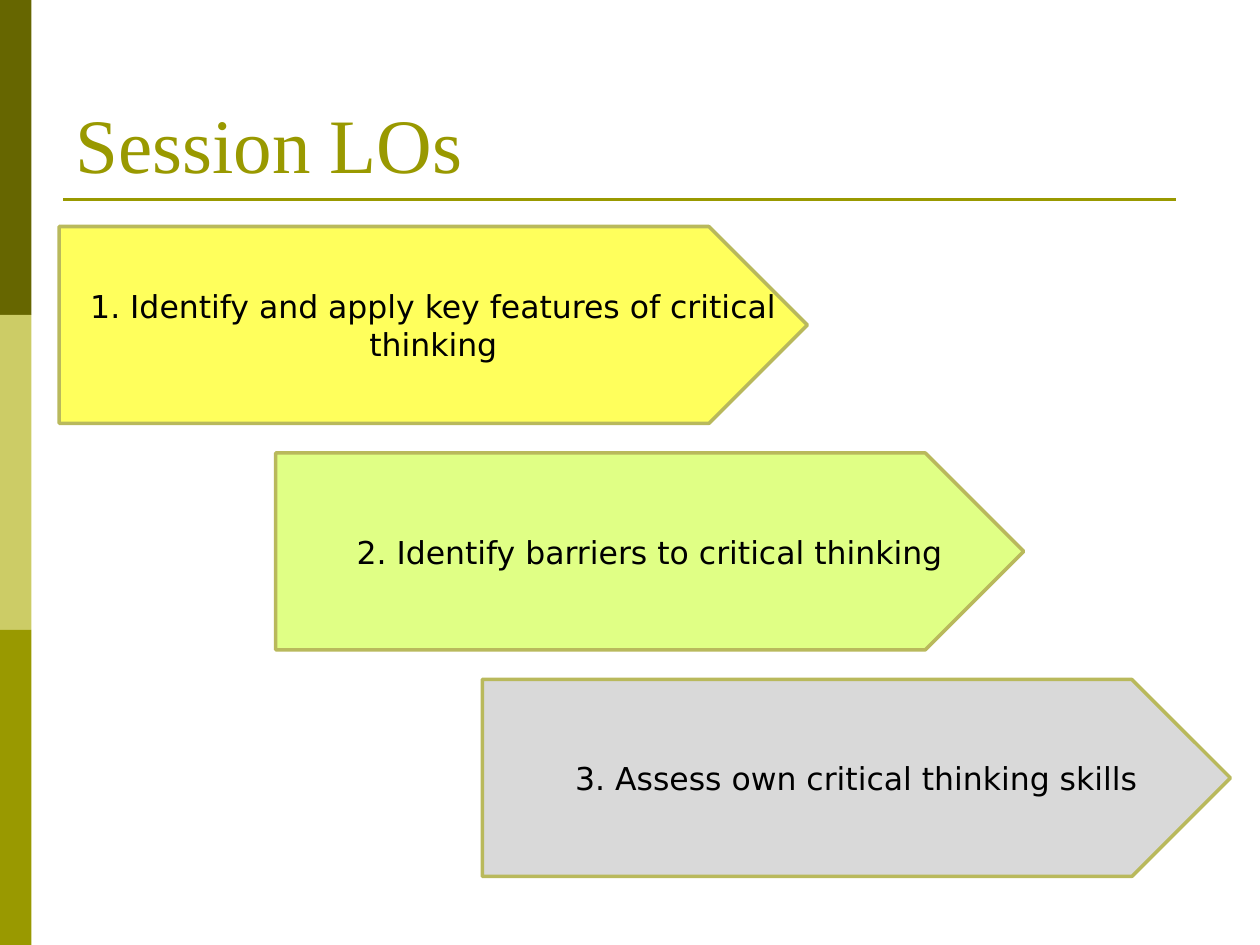
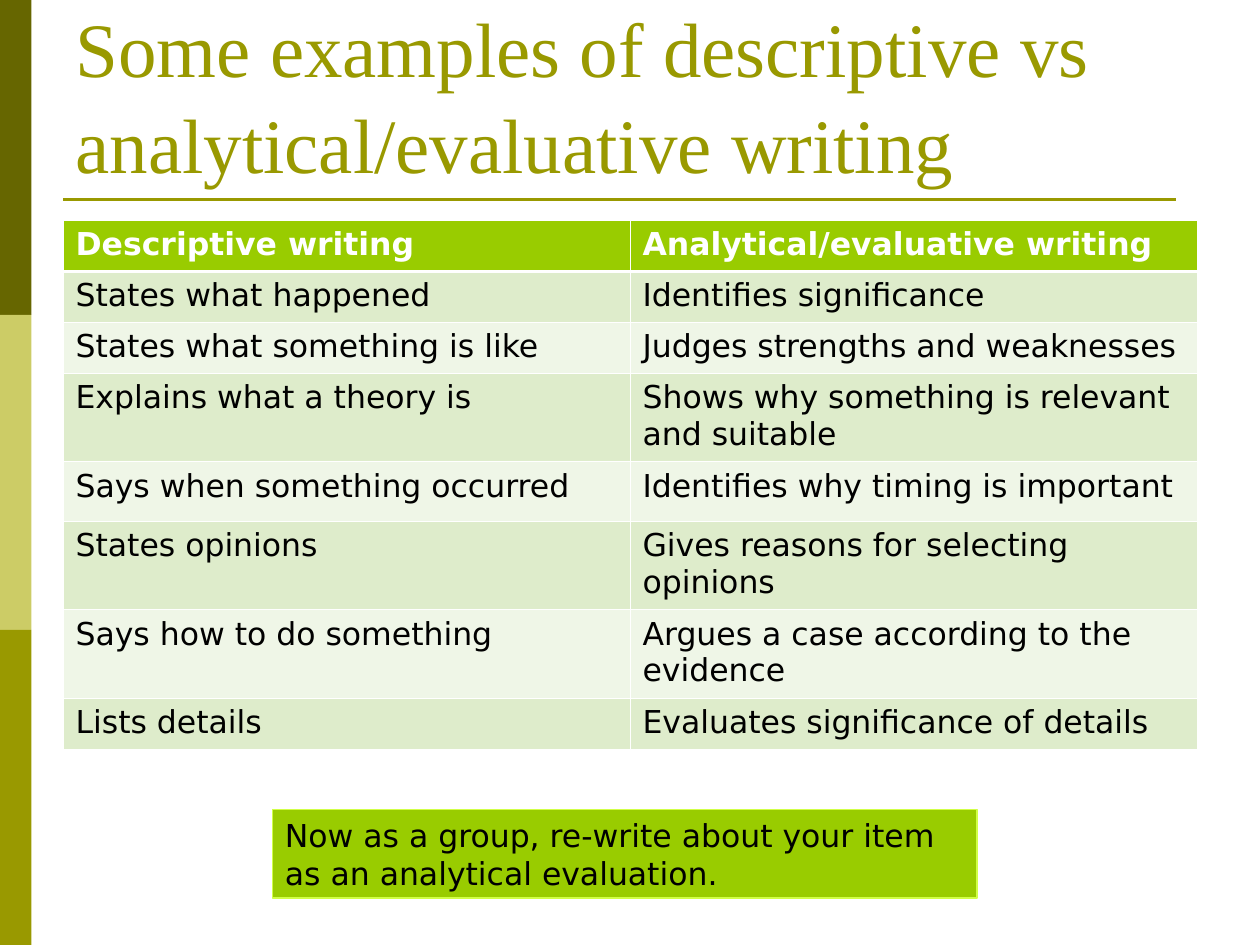
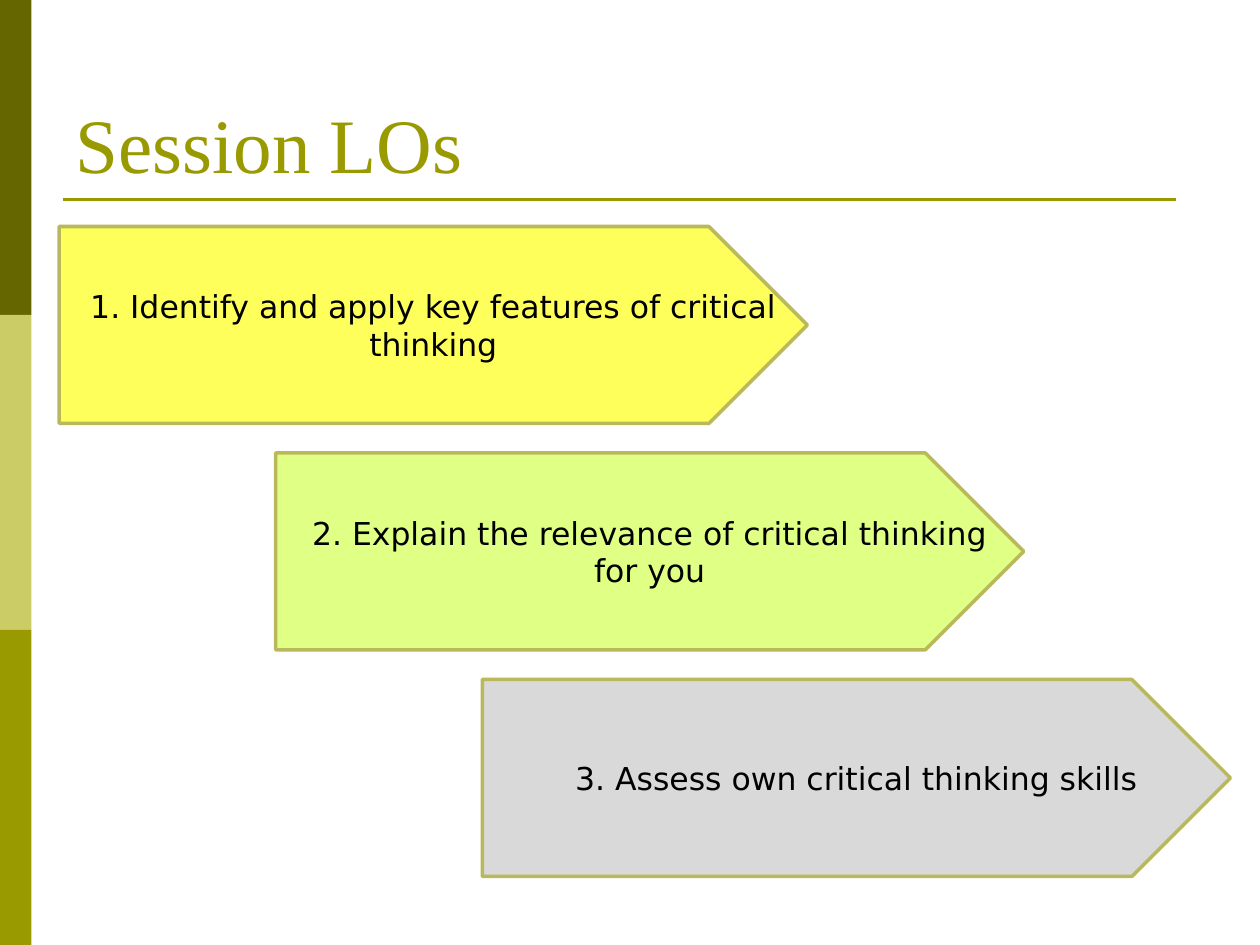
"""Three teaching slides on critical thinking: outcomes, comparison table, outcomes."""
from dataclasses import dataclass

from lxml import etree
from pptx import Presentation, util as u
from pptx.dml.color import RGBColor
from pptx.enum import shapes, text
from pptx.oxml import ns

COLUMNS, ROWS = 40, 30  # grid over the slide
WIDTH, HEIGHT = u.Inches(10), u.Inches(7.5)
BODY_FONT, TITLE_FONT = "DejaVu Sans", "Times New Roman"
BLACK, WHITE = "000000", "FFFFFF"
OLIVE, DARK_OLIVE, PALE_OLIVE = "999900", "666600", "CCCC66"
GREEN, GREEN_EDGE, ARROW_EDGE = "99CC00", "D1FF47", "B9B95C"
BANDS = (DARK_OLIVE, PALE_OLIVE, OLIVE)
STRIPES = ("DEECCB", "EFF6E7")
THIN, THICK = 0.45, 1.47  # table borders, points


@dataclass(frozen=True)
class Area:
    """A rectangle in grid columns and rows."""
    column: float
    row: float
    columns: float
    rows: float

    def lengths(self) -> tuple[int, int, int, int]:
        """Return left, top, width and height on the slide."""
        return across(self.column), down(self.row), across(self.columns), down(self.rows)


@dataclass(frozen=True)
class ArrowStep:
    """One arrow of the staircase."""
    column: float
    fill: str


STEPS = (ArrowStep(1.88, "FFFF5C"), ArrowStep(8.75, "E0FF85"), ArrowStep(15.31, "D9D9D9"))
FIRST_ARROW_ROW, ARROW_PITCH = 7.19, 7.19
ARROW_COLUMNS, ARROW_ROWS = 23.75, 6.25
TITLE_AREA = Area(2, 1.2, 36, 5)
TALL_TITLE_AREA = Area(2, 0.52, 36, 5.68)

COMPARISON = (
    ("Descriptive writing", "Analytical/evaluative writing"),
    ("States what happened", "Identifies significance"),
    ("States what something is like", "Judges strengths and weaknesses"),
    ("Explains what a theory is", "Shows why something is relevant and suitable"),
    ("Says when something occurred", "Identifies why timing is important"),
    ("States opinions", "Gives reasons for selecting opinions"),
    ("Says how to do something", "Argues a case according to the evidence"),
    ("Lists details", "Evaluates significance of details"),
)
COMPARISON_ROWS = (1.62, 1.62, 1.62, 2.8, 1.9, 2.8, 2.8, 1.62)


def across(columns: float) -> int:
    """Convert grid columns to a length."""
    return round(WIDTH * columns / COLUMNS)


def down(rows: float) -> int:
    """Convert grid rows to a length."""
    return round(HEIGHT * rows / ROWS)


def color(value: str) -> RGBColor:
    """Convert a hex string to a colour."""
    return RGBColor.from_string(value)


def paint(shape, fill: str, edge: str | None = None, points: float = 0) -> None:
    """Give a shape a flat fill and an optional outline."""
    shape.shadow.inherit = False
    shape.fill.solid()
    shape.fill.fore_color.rgb = color(fill)
    if edge:
        shape.line.color.rgb = color(edge)
        shape.line.width = u.Pt(points)
    else:
        shape.line.fill.background()


def write(frame, words: str, size: float = 18, name: str = BODY_FONT, ink: str = BLACK,
          align=text.PP_ALIGN.LEFT, bold: bool = False) -> None:
    """Write one formatted paragraph into a text frame."""
    frame.word_wrap = True
    frame.text = words
    paragraph = frame.paragraphs[0]
    paragraph.alignment = align
    font = paragraph.font
    font.size, font.name, font.bold = u.Pt(size), name, bold
    font.color.rgb = color(ink)


def add_decoration(slide) -> None:
    """Draw the side bands and title rule, then hand them to the slide's layout."""
    band_rows = ROWS / len(BANDS)
    parts = []
    for index, fill in enumerate(BANDS):
        band = slide.shapes.add_shape(
            shapes.MSO_SHAPE.RECTANGLE, *Area(0, index * band_rows, 1, band_rows).lengths())
        paint(band, fill)
        parts.append(band)
    rule = slide.shapes.add_connector(
        shapes.MSO_CONNECTOR.STRAIGHT, across(2), down(6.33), across(37.33), down(6.33))
    rule.line.color.rgb = color(OLIVE)
    rule.line.width = u.Pt(1.5)
    etree.SubElement(rule.element.spPr, ns.qn("a:effectLst"))
    for part in (*parts, rule):
        slide.slide_layout.shapes.element.append(part.element)


def add_titled_slide(presentation, title: str, area: Area = TITLE_AREA):
    """Add a title-only slide with its title placed and formatted."""
    slide = presentation.slides.add_slide(presentation.slide_layouts[5])
    shape = slide.shapes.title
    shape.left, shape.top, shape.width, shape.height = area.lengths()
    frame = shape.text_frame
    write(frame, title, 44, TITLE_FONT, OLIVE)
    frame.auto_size = text.MSO_AUTO_SIZE.NONE
    frame.vertical_anchor = text.MSO_ANCHOR.BOTTOM
    frame.paragraphs[0].line_spacing = 1.04
    return slide


def add_arrow(slide, area: Area, fill: str, words: str) -> None:
    """Draw a block arrow whose tip is half as long as it is high."""
    left, top, width, height = area.lengths()
    right, bottom, middle = left + width, top + height, top + height // 2
    shoulder = right - height // 2
    builder = slide.shapes.build_freeform(left, top)
    builder.add_line_segments(
        [(shoulder, top), (right, middle), (shoulder, bottom), (left, bottom)], close=True)
    arrow = builder.convert_to_shape()
    paint(arrow, fill, ARROW_EDGE, 2)
    write(arrow.text_frame, words, align=text.PP_ALIGN.CENTER)
    arrow.text_frame.vertical_anchor = text.MSO_ANCHOR.MIDDLE


def add_outcomes_slide(presentation, outcomes: tuple[str, ...]):
    """Add a staircase of numbered session outcomes."""
    slide = add_titled_slide(presentation, "Session LOs")
    for index, (step, outcome) in enumerate(zip(STEPS, outcomes)):
        row = FIRST_ARROW_ROW + index * ARROW_PITCH
        area = Area(step.column, row, ARROW_COLUMNS, ARROW_ROWS)
        add_arrow(slide, area, step.fill, f"{index + 1}. {outcome}")
    return slide


def set_borders(cell, top: float, bottom: float) -> None:
    """Draw white cell borders, with top and bottom widths in points."""
    properties = cell._tc.get_or_add_tcPr()
    for side, points in (("L", THIN), ("R", THIN), ("T", top), ("B", bottom)):
        line = etree.SubElement(properties, ns.qn(f"a:ln{side}"), w=str(u.Pt(points)))
        fill = etree.SubElement(line, ns.qn("a:solidFill"))
        etree.SubElement(fill, ns.qn("a:srgbClr"), val=WHITE)


def add_comparison(slide) -> None:
    """Add the striped two-column comparison table."""
    area = Area(2, 7, 36, sum(COMPARISON_ROWS))
    table = slide.shapes.add_table(len(COMPARISON), 2, *area.lengths()).table
    table.horz_banding = False
    for index, (entries, rows) in enumerate(zip(COMPARISON, COMPARISON_ROWS)):
        table.rows[index].height = down(rows)
        header = index == 0
        for column, words in enumerate(entries):
            cell = table.cell(index, column)
            set_borders(cell, THICK if index == 1 else THIN, THICK if header else THIN)
            cell.fill.solid()
            cell.fill.fore_color.rgb = color(GREEN if header else STRIPES[(index - 1) % 2])
            write(cell.text_frame, words, ink=WHITE if header else BLACK, bold=header)


def add_task(slide, words: str) -> None:
    """Add the green task box below the table."""
    box = slide.shapes.add_shape(
        shapes.MSO_SHAPE.RECTANGLE, *Area(8.65, 25.71, 22.37, 2.8).lengths())
    paint(box, GREEN, GREEN_EDGE, 0.75)
    write(box.text_frame, words)
    box.text_frame.vertical_anchor = text.MSO_ANCHOR.TOP
    box.text_frame.auto_size = text.MSO_AUTO_SIZE.SHAPE_TO_FIT_TEXT


def main() -> None:
    """Build and save the presentation."""
    presentation = Presentation()
    presentation.slide_width, presentation.slide_height = WIDTH, HEIGHT
    features = "Identify and apply key features of critical thinking"
    skills = "Assess own critical thinking skills"

    opening = add_outcomes_slide(
        presentation, (features, "Identify barriers to critical thinking", skills))
    add_decoration(opening)

    examples = add_titled_slide(
        presentation, "Some examples of descriptive vs analytical/evaluative writing",
        TALL_TITLE_AREA)
    add_comparison(examples)
    add_task(examples, "Now as a group, re-write about your item as an analytical evaluation.")

    add_outcomes_slide(
        presentation, (features, "Explain the relevance of critical thinking for you", skills))
    presentation.save("out.pptx")


main()
